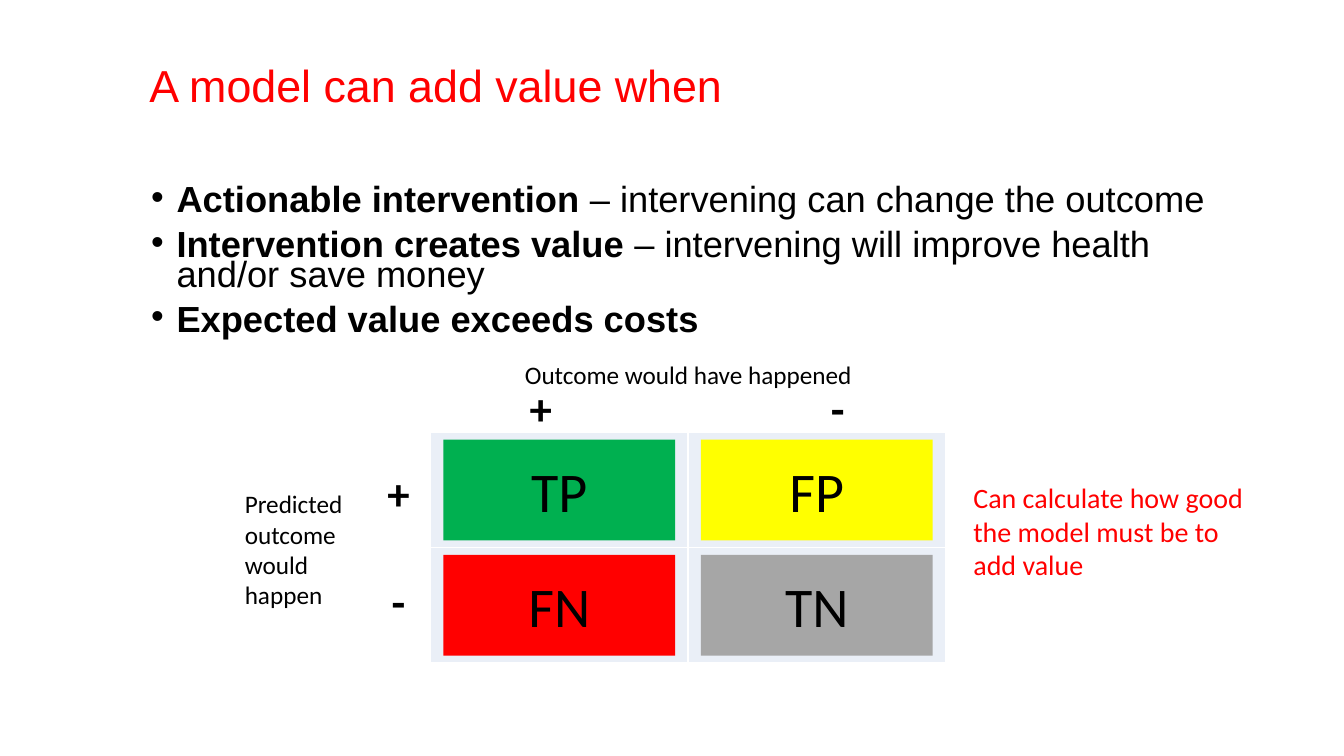
from lxml.etree import SubElement
from pptx import Presentation
from pptx.dml.color import RGBColor
from pptx.enum.shapes import MSO_SHAPE as Shape
from pptx.enum.text import MSO_ANCHOR as Anchor, MSO_AUTO_SIZE as Fit, PP_ALIGN as Align
from pptx.oxml.ns import qn
from pptx.util import Cm, Pt

COLORS = {"black": "000000", "red": "FF0000", "green": "00B050", "yellow": "FFFF00",
          "gray": "A6A6A6", "cell": "EAEFF7", "border": "FFFFFF"}

HEADING = "A model can add value when"
CONDITIONS = [
    ("Actionable intervention ", "– intervening can change the outcome"),
    ("Intervention creates value ", "– intervening will improve health and/or save money"),
    ("Expected value exceeds costs", ""),
]
QUADRANTS = [[("TP", "green"), ("FP", "yellow")],
             [("FN", "red"), ("TN", "gray")]]

NOTE = {"size": Pt(18)}
SIGN = {"size": Pt(32), "bold": True}
REMARK = {"size": Pt(20), "color": "red"}
LABELS = [
    (["Predicted outcome would happen"], (5.92, 12.19, 3.63, 3.33), Align.LEFT, NOTE),
    (["Outcome would have happened"], (12.62, 8.92, 9.45, 1.02), Align.CENTER, NOTE),
    (["+", "-"], (9.22, 11.61, 1.65, 4.37), Align.CENTER, SIGN),
    (["+\t-"], (13.1, 9.47, 10.73, 1.63), Align.LEFT, SIGN),
    (["Can calculate how good the model must be to add value"],
     (24.28, 11.99, 7.77, 2.82), Align.LEFT, REMARK),
]
SIGN_GAP = Pt(39)
SIGN_TAB = Cm(7.59)

MATRIX_LEFT, MATRIX_TOP = 10.85, 10.9
CELL_W, CELL_H = 6.49, 2.9
TILE_W, TILE_H = 5.84, 2.54


def rgb(color):
    return RGBColor.from_string(COLORS[color])


def style(font, color="black", **values):
    for key, value in {"name": "Calibri", **values}.items():
        setattr(font, key, value)
    font.color.rgb = rgb(color)


def add_text(slide, box):
    frame = slide.shapes.add_textbox(*map(Cm, box)).text_frame
    frame.word_wrap = True
    return frame


def add_conditions(slide):
    frame = add_text(slide, (3.56, 4.62, 28.52, 4.37))
    for i, (claim, detail) in enumerate(CONDITIONS):
        line = frame.paragraphs[0] if i == 0 else frame.add_paragraph()
        line.line_spacing = 0.7
        line.space_before = Pt(10 if i else 0)
        props = line._p.get_or_add_pPr()
        props.set("marL", str(Cm(0.64)))
        props.set("indent", str(-Cm(0.64)))
        SubElement(props, qn("a:buFont"), typeface="Arial")
        SubElement(props, qn("a:buChar"), char="•")
        for text, bold in ((claim, True), (detail, False)):
            if text:
                run = line.add_run()
                run.text = text
                style(run.font, name="Arial", size=Pt(25.9), bold=bold)


def add_border(cell):
    props = cell._tc.get_or_add_tcPr()
    for i, side in enumerate(("lnL", "lnR", "lnT", "lnB")):
        edge = props.makeelement(qn(f"a:{side}"), {"w": str(Pt(1))})
        fill = SubElement(edge, qn("a:solidFill"))
        SubElement(fill, qn("a:srgbClr"), val=COLORS["border"])
        props.insert(i, edge)


def add_matrix(slide):
    table = slide.shapes.add_table(2, 2, Cm(MATRIX_LEFT), Cm(MATRIX_TOP),
                                   Cm(2 * CELL_W), Cm(2 * CELL_H)).table
    for r, row in enumerate(QUADRANTS):
        for c, (name, color) in enumerate(row):
            cell = table.cell(r, c)
            cell.fill.solid()
            cell.fill.fore_color.rgb = rgb("cell")
            add_border(cell)
            left = MATRIX_LEFT + c * CELL_W + (CELL_W - TILE_W) / 2
            top = MATRIX_TOP + r * CELL_H + (CELL_H - TILE_H) / 2
            tile = slide.shapes.add_shape(Shape.RECTANGLE, Cm(left), Cm(top),
                                          Cm(TILE_W), Cm(TILE_H))
            tile.shadow.inherit = False
            tile.fill.solid()
            tile.fill.fore_color.rgb = rgb(color)
            tile.line.fill.background()
            tile.text_frame.text = name
            tile.text_frame.vertical_anchor = Anchor.MIDDLE
            label = tile.text_frame.paragraphs[0]
            label.alignment = Align.CENTER
            style(label.runs[0].font, size=Pt(40))


def add_labels(slide):
    for lines, box, align, look in LABELS:
        frame = add_text(slide, box)
        frame.auto_size = Fit.SHAPE_TO_FIT_TEXT
        for i, text in enumerate(lines):
            line = frame.paragraphs[0] if i == 0 else frame.add_paragraph()
            line.alignment = align
            if i:
                line.space_before = SIGN_GAP
            if "\t" in text:
                stops = SubElement(line._p.get_or_add_pPr(), qn("a:tabLst"))
                SubElement(stops, qn("a:tab"), pos=str(SIGN_TAB), algn="l")
            run = line.add_run()
            run.text = text
            style(run.font, **look)


def main():
    deck = Presentation()
    deck.slide_width, deck.slide_height = Cm(33.87), Cm(19.05)
    slide = deck.slides.add_slide(deck.slide_layouts[5])

    title = slide.shapes.title
    title.left, title.top, title.width, title.height = map(Cm, (3.51, 1.32, 28.55, 1.8))
    title.text_frame.text = HEADING
    title.text_frame.vertical_anchor = Anchor.MIDDLE
    heading = title.text_frame.paragraphs[0]
    heading.alignment = Align.LEFT
    heading.line_spacing = 0.9
    style(heading.runs[0].font, "red", name="Arial", size=Pt(32))

    add_conditions(slide)
    add_matrix(slide)
    add_labels(slide)
    deck.save("out.pptx")


if __name__ == "__main__":
    main()
